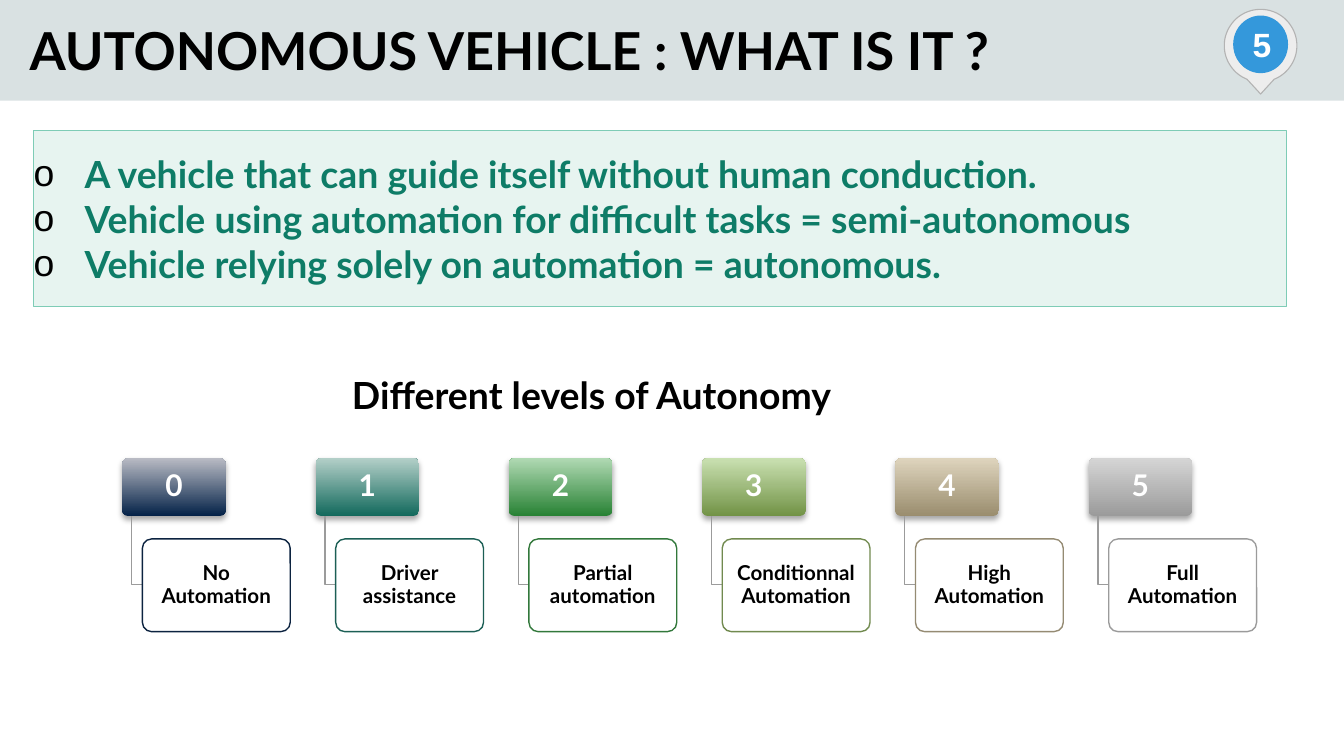
from math import cos, radians, sin
from lxml.etree import SubElement
from pptx import Presentation
from pptx.dml.color import RGBColor
from pptx.enum.shapes import MSO_SHAPE as Shape
from pptx.enum.text import MSO_ANCHOR as Anchor, PP_ALIGN as Align
from pptx.oxml.ns import qn
from pptx.util import Inches, Pt


def color(value):
    return RGBColor.from_string(value)


def write(shape, lines, size, ink, align=Align.LEFT, anchor=Anchor.MIDDLE, inset=0, font="Lato"):
    frame = shape.text_frame
    frame.text = "\n".join(lines)
    frame.word_wrap = True
    frame.vertical_anchor = anchor
    frame.margin_left = frame.margin_right = Inches(inset)
    frame.margin_top = frame.margin_bottom = Inches(inset)
    for para in frame.paragraphs:
        para.alignment = align
        for span in para.runs:
            span.font.name = font
            span.font.size = Pt(size)
            span.font.bold = True
            span.font.color.rgb = color(ink)


deck = Presentation()
deck.slide_width = Inches(10)
deck.slide_height = deck.slide_width * 9 // 16
page = deck.slides.add_slide(deck.slide_layouts[5])
shapes = page.shapes

title = shapes.title
title.left, title.top = Inches(0.12), Inches(0.06)
title.width, title.height = Inches(8.01), Inches(0.64)
write(title, ["AUTONOMOUS VEHICLE : WHAT IS IT ?"], 28, "000000", anchor=Anchor.BOTTOM, inset=0.1)

band = shapes.add_shape(Shape.RECTANGLE, 0, 0, Inches(10), Inches(0.75))
band.shadow.inherit = False
band.fill.solid()
band.fill.fore_color.rgb = color("D9E1E2")
band.line.fill.background()
title.element.addprevious(band.element)

center_x, center_y, radius = 9.38, 0.34, 0.27
rim = [
    (Inches(center_x + radius * cos(radians(angle))), Inches(center_y + radius * sin(radians(angle))))
    for angle in range(112, 429, 4)
]
outline = shapes.build_freeform(Inches(center_x), Inches(0.7))
outline.add_line_segments(rim, close=True)
pin = outline.convert_to_shape()
badge = shapes.add_shape(Shape.OVAL, Inches(9.18), Inches(0.12), Inches(0.4), Inches(0.42))
for shape, fill, line in [(pin, "EDEDED", "B3B3B3"), (badge, "3498DB", "3498DB")]:
    shape.shadow.inherit = False
    shape.fill.solid()
    shape.fill.fore_color.rgb = color(fill)
    shape.line.color.rgb = color(line)
    shape.line.width = Pt(0.6)
page_number = shapes.add_textbox(Inches(9.16), Inches(0.16), Inches(0.46), Inches(0.34))
write(page_number, ["5"], 18, "FFFFFF", Align.CENTER, font="Arial")

definition = shapes.add_shape(Shape.RECTANGLE, Inches(0.25), Inches(0.97), Inches(9.32), Inches(1.31))
definition.shadow.inherit = False
definition.fill.solid()
definition.fill.fore_color.rgb = color("E7F4F0")
definition.line.color.rgb = color("7ECCB6")
definition.line.width = Pt(0.6)
write(definition, [
    "A vehicle that can guide itself without human conduction.",
    "Vehicle using automation for difficult tasks = semi-autonomous",
    "Vehicle relying solely on automation = autonomous.",
], 20, "0E7C67")
for para in definition.text_frame.paragraphs:
    para.level = 1
    props = para._p.get_or_add_pPr()
    props.set("marL", str(Inches(0.38)))
    props.set("indent", str(-Inches(0.38)))
    SubElement(SubElement(props, qn("a:buClr")), qn("a:srgbClr"), val="000000")
    SubElement(props, qn("a:buFont"), typeface="Arial")
    SubElement(props, qn("a:buChar"), char="o")

levels = [
    ("No Automation", "042248", "B9BBC4", "0C2340"),
    ("Driver assistance", "12695C", "B3CFC8", "1C5F55"),
    ("Partial automation", "288234", "B0D9B3", "32783B"),
    ("Conditionnal Automation", "729346", "C9E0B1", "718A4F"),
    ("High Automation", "9A8D6E", "DED4BD", "958B73"),
    ("Full Automation", "9B9B9B", "D5D5D5", "9B9B9B"),
]
first_left, last_left = 0.91, 8.1
pitch = (last_left - first_left) / (len(levels) - 1)
for number, (name, dark, light, border) in enumerate(levels):
    left = first_left + pitch * number

    tile = shapes.add_shape(Shape.ROUNDED_RECTANGLE, Inches(left), Inches(3.41), Inches(0.77), Inches(0.43))
    tile.adjustments[0] = 0.1
    tile.fill.gradient()
    tile.fill.gradient_angle = 90
    for stop, tone, position in zip(tile.fill.gradient_stops, (dark, light), (0, 1)):
        stop.color.rgb = color(tone)
        stop.position = position
    tile.line.fill.background()
    tile.shadow.inherit = False
    effects = tile.element.spPr.find(qn("a:effectLst"))
    shadow = SubElement(effects, qn("a:outerShdw"), blurRad=str(Pt(3.1)), dist=str(Pt(1.8)),
                        dir="5400000", rotWithShape="0")
    SubElement(SubElement(shadow, qn("a:srgbClr"), val="000000"), qn("a:alpha"), val="35000")
    write(tile, [str(number)], 16, "FFFFFF", Align.CENTER, inset=0.02)

    elbow = shapes.build_freeform(Inches(left + 0.07), Inches(3.84))
    elbow.add_line_segments(
        [(Inches(left + 0.07), Inches(4.35)), (Inches(left + 0.15), Inches(4.35))], close=False)
    link = elbow.convert_to_shape()
    link.shadow.inherit = False
    link.fill.background()
    link.line.color.rgb = color("9B9B9B")
    link.line.width = Pt(0.75)

    card = shapes.add_shape(Shape.ROUNDED_RECTANGLE, Inches(left + 0.15), Inches(4.01), Inches(1.1), Inches(0.69))
    card.adjustments[0] = 0.1
    card.shadow.inherit = False
    card.fill.solid()
    card.fill.fore_color.rgb = color("FFFFFF")
    card.line.color.rgb = color(border)
    card.line.width = Pt(0.75)
    write(card, [name], 11, "000000", Align.CENTER, inset=0.02)
    for shape in (tile, card):
        shape.text_frame.paragraphs[0].line_spacing = 0.9

heading = shapes.add_textbox(Inches(2.52), Inches(2.72), Inches(4.21), Inches(0.44))
write(heading, ["Different levels of Autonomy"], 20, "000000", anchor=Anchor.TOP, inset=0.05)
heading.text_frame.margin_left = Inches(0.1)

deck.save("out.pptx")
